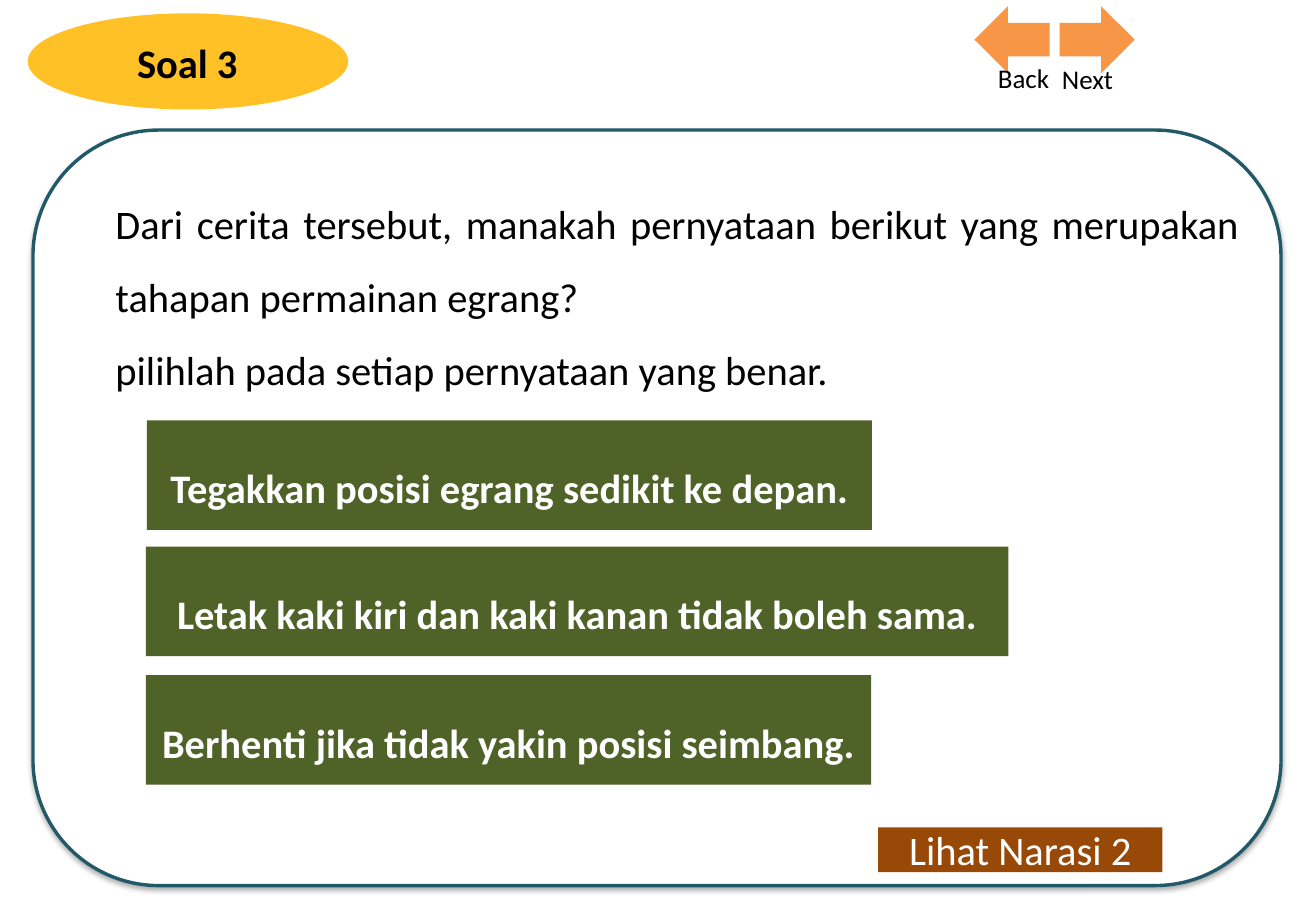
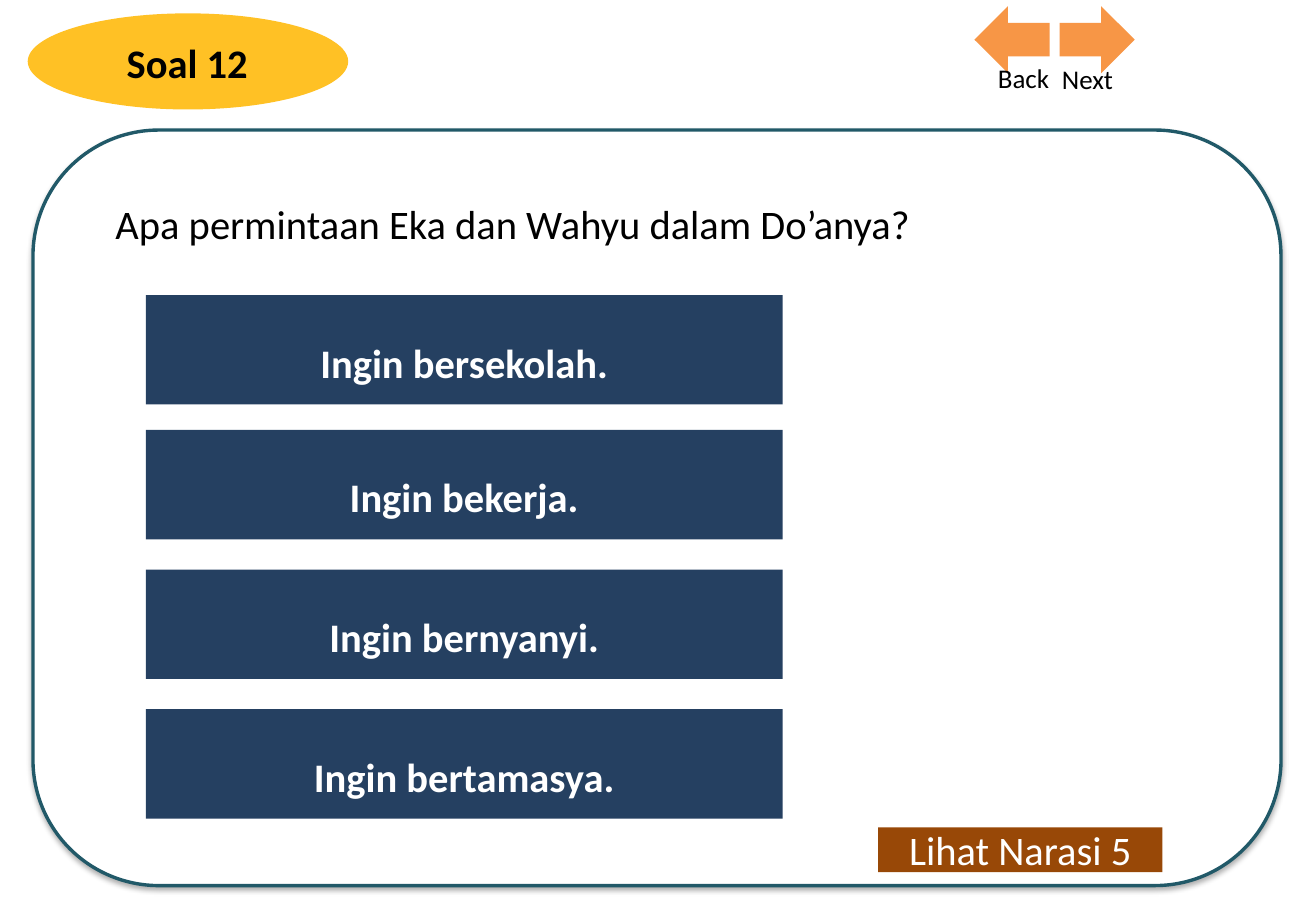
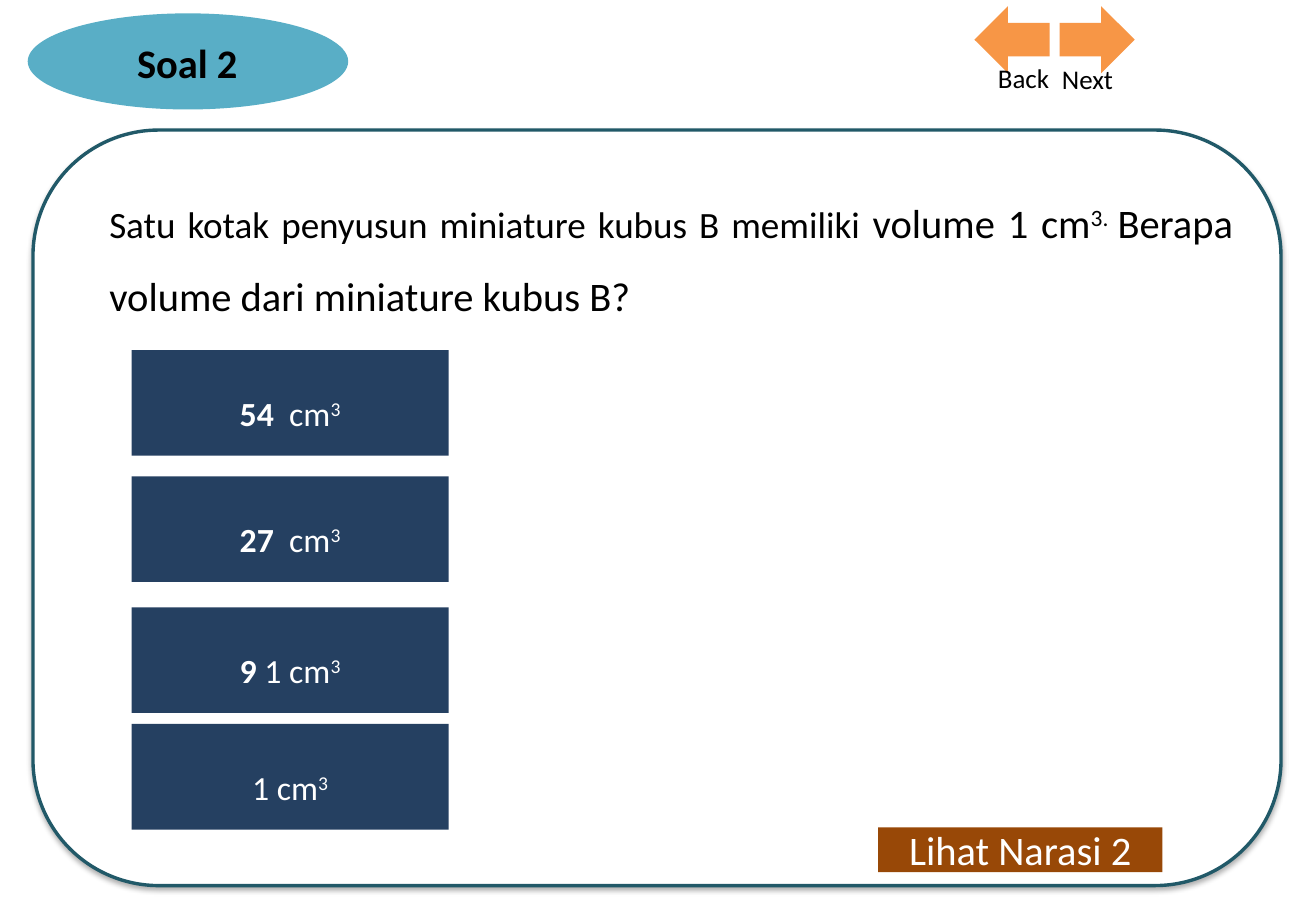
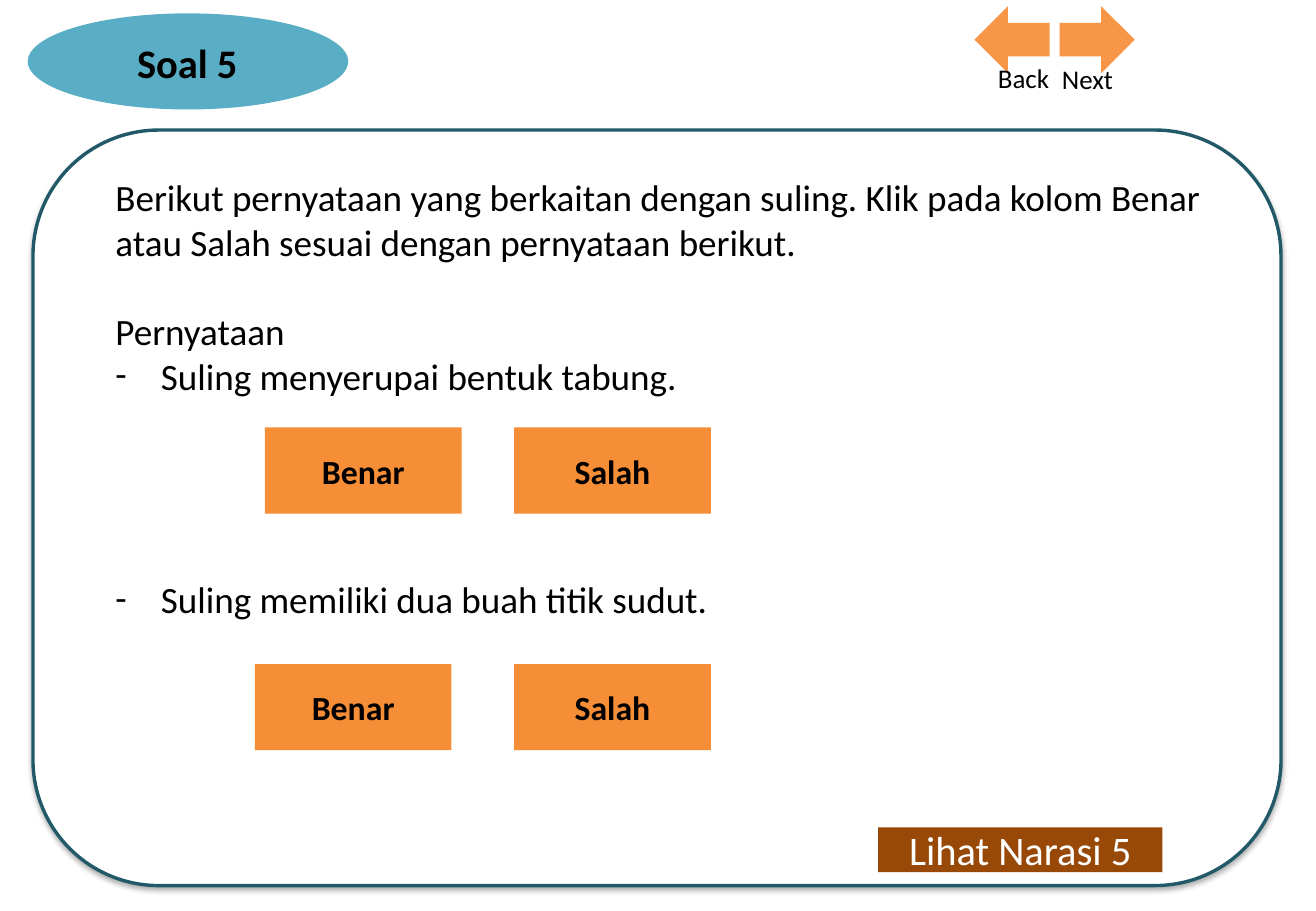
from dataclasses import dataclass

from lxml.etree import SubElement
from pptx import Presentation
from pptx.dml.color import RGBColor
from pptx.enum.shapes import MSO_SHAPE as Preset
from pptx.enum.text import MSO_ANCHOR as Anchor, MSO_AUTO_SIZE as AutoSize, PP_ALIGN as Align
from pptx.oxml.ns import qn
from pptx.util import Cm, Pt


@dataclass(frozen=True)
class Theme:
    font: str = "Calibri"
    black: str = "000000"
    white: str = "FFFFFF"
    yellow: str = "FFC125"
    teal: str = "59AEC6"
    frame: str = "215968"
    arrow: str = "F79646"
    story: str = "984807"
    green: str = "4F6228"
    navy: str = "254061"
    orange: str = "F68D37"
    large: int = 24
    medium: int = 22
    small: int = 20
    label: int = 16


@dataclass(frozen=True)
class AnswerStyle:
    fill: str
    ink: str
    size: int
    height: float
    spacing: float


THEME = Theme()
CHECK = AnswerStyle(THEME.green, THEME.white, THEME.large, 2.29, 1.5)
CHOICE = AnswerStyle(THEME.navy, THEME.white, THEME.large, 2.29, 1.5)
VOLUME = AnswerStyle(THEME.navy, THEME.white, THEME.small, 2.21, 1.5)
TRUE_FALSE = AnswerStyle(THEME.orange, THEME.black, THEME.small, 1.8, 1.0)

# A run is (text, *marks); a mark is "bold", "super" or "medium".
CUBED = ("3", "super")


def bold(text):
    return [(text, "bold")]


def column(left, width, tops, labels):
    return [(left, top, width, runs) for top, runs in zip(tops, labels)]


# Question paragraph: (runs, has dash, points before). Answer: (left, top, width, runs), in cm.
SLIDES = [
    {
        "title": "Soal 3", "badge": THEME.yellow, "story": "Lihat Narasi 2",
        "box": (2.16, 3.53, 24, 6.4), "align": Align.JUSTIFY, "spacing": 1.5,
        "question": [
            ([("Dari cerita tersebut, manakah pernyataan berikut yang merupakan "
               "tahapan permainan egrang?",)], False, 0),
            ([("pilihlah pada setiap pernyataan yang benar.",)], False, 0),
        ],
        "style": CHECK,
        "answers": [
            (3.07, 8.79, 15.16, bold("Tegakkan posisi egrang sedikit ke depan.")),
            (3.05, 11.43, 18.03, bold("Letak kaki kiri dan kaki kanan tidak boleh sama.")),
            (3.05, 14.12, 15.16, bold("Berhenti jika tidak yakin posisi seimbang.")),
        ],
    },
    {
        "title": "Soal 12", "badge": THEME.yellow, "story": "Lihat Narasi 5",
        "box": (2.16, 3.53, 24, 1.63), "align": Align.JUSTIFY, "spacing": 1.5,
        "question": [([("Apa permintaan Eka dan Wahyu dalam Do’anya?",)], False, 0)],
        "style": CHOICE,
        "answers": column(3.05, 13.31, (6.17, 8.99, 11.91, 14.83), [
            bold("Ingin bersekolah."),
            bold("Ingin bekerja."),
            bold("Ingin bernyanyi."),
            bold("Ingin bertamasya."),
        ]),
    },
    {
        "title": "Soal 2", "badge": THEME.teal, "story": "Lihat Narasi 2",
        "box": (2.03, 3.5, 24, 3.33), "align": Align.JUSTIFY, "spacing": 1.5,
        "question": [
            ([("Satu kotak penyusun miniature kubus B memiliki ", "medium"),
              ("volume 1 cm",), ("3. ", "super"),
              ("Berapa volume dari miniature kubus B?",)], False, 0),
        ],
        "style": VOLUME,
        "answers": column(2.75, 6.63, (7.32, 9.96, 12.7, 15.14), [
            [("54 ", "bold"), (" cm",), CUBED],
            [("27 ", "bold"), (" cm",), CUBED],
            [("9 ", "bold"), ("1 cm",), CUBED],
            [("1 cm",), CUBED],
        ]),
    },
    {
        "title": "Soal 5", "badge": THEME.teal, "story": "Lihat Narasi 5",
        "box": (2.16, 3.53, 24, 9.75), "align": Align.LEFT, "spacing": 1.0,
        "question": [
            ([("Berikut pernyataan yang berkaitan dengan suling. Klik pada kolom Benar "
               "atau Salah sesuai dengan pernyataan berikut.", "medium")], False, 0),
            ([("Pernyataan", "medium")], False, 26.5),
            ([("Suling menyerupai bentuk tabung.", "medium")], True, 0),
            ([("Suling memiliki dua buah titik sudut.", "medium")], True, 106),
        ],
        "style": TRUE_FALSE,
        "answers": [
            (left, top, 4.11, bold(label))
            for true_left, top in ((5.54, 8.94), (5.33, 13.89))
            for left, label in ((true_left, "Benar"), (10.75, "Salah"))
        ],
    },
]

# (label, arrow left, arrow rotation, label left, label top, label alignment)
NAVIGATION = [
    ("Back", 20.37, 180, 18.62, 1.17, Align.RIGHT),
    ("Next", 22.15, 0, 21.95, 1.19, Align.LEFT),
]


def rgb(colour):
    return RGBColor.from_string(colour)


def write(paragraph, runs, size, ink, align, spacing=1.0):
    paragraph.alignment = align
    paragraph.line_spacing = spacing
    paragraph.space_before = Pt(0)
    for text, *marks in runs:
        run = paragraph.add_run()
        run.text = text
        font = run.font
        font.name = THEME.font
        font.size = Pt(THEME.medium if "medium" in marks else size)
        font.bold = "bold" in marks
        font.color.rgb = rgb(ink)
        if "super" in marks:
            font._element.set("baseline", "30000")


def add_plain(slide, preset, box, fill):
    shape = slide.shapes.add_shape(preset, *map(Cm, box))
    shape.shadow.inherit = False
    shape.fill.solid()
    shape.fill.fore_color.rgb = rgb(fill)
    shape.line.fill.background()
    return shape


def add_button(slide, box, fill, runs, size, ink, spacing=1.0):
    frame = add_plain(slide, Preset.RECTANGLE, box, fill).text_frame
    frame.vertical_anchor = Anchor.MIDDLE
    write(frame.paragraphs[0], runs, size, ink, Align.CENTER, spacing)


def place(slide, placeholder, box, anchor):
    """Bring a placeholder to the front, position it and return its text frame."""
    slide.shapes._spTree.append(placeholder._element)
    placeholder.left, placeholder.top, placeholder.width, placeholder.height = map(Cm, box)
    frame = placeholder.text_frame
    frame.word_wrap = True
    frame.auto_size = AutoSize.NONE
    frame.vertical_anchor = anchor
    return frame


def add_panel(slide):
    panel = add_plain(slide, Preset.ROUNDED_RECTANGLE, (0.69, 2.72, 26.09, 15.8), THEME.white)
    panel.line.color.rgb = rgb(THEME.frame)
    panel.line.width = Pt(2)
    effects = panel._element.spPr.find(qn("a:effectLst"))
    shadow = SubElement(effects, qn("a:outerShdw"), blurRad=str(Pt(3.5)), dist=str(Pt(2.2)),
                        dir="5400000", rotWithShape="0")
    colour = SubElement(shadow, qn("a:srgbClr"), val=THEME.black)
    SubElement(colour, qn("a:alpha"), val="32000")


def set_bullet(paragraph, has_dash):
    indent = Cm(0.95) if has_dash else 0
    props = paragraph._p.get_or_add_pPr()
    props.set("marL", str(indent))
    props.set("indent", str(-indent))
    if has_dash:
        SubElement(props, qn("a:buFont"), typeface=THEME.font)
        SubElement(props, qn("a:buChar"), char="-")
    else:
        SubElement(props, qn("a:buNone"))


def add_question(slide, content):
    frame = place(slide, slide.placeholders[1], content["box"], Anchor.TOP)
    for index, (runs, has_dash, before) in enumerate(content["question"]):
        paragraph = frame.add_paragraph() if index else frame.paragraphs[0]
        set_bullet(paragraph, has_dash)
        write(paragraph, runs, THEME.large, THEME.black, content["align"], content["spacing"])
        paragraph.space_before = Pt(before)


def add_navigation(slide):
    for label, arrow_left, rotation, left, top, align in NAVIGATION:
        arrow = add_plain(slide, Preset.RIGHT_ARROW, (arrow_left, 0.13, 1.57, 1.4), THEME.arrow)
        arrow.rotation = rotation
        frame = slide.shapes.add_textbox(*map(Cm, (left, top, 3.56, 0.94))).text_frame
        frame.word_wrap = True
        write(frame.paragraphs[0], [(label,)], THEME.label, THEME.black, align)


def build_slide(deck, content):
    slide = deck.slides.add_slide(deck.slide_layouts[1])
    add_plain(slide, Preset.OVAL, (0.58, 0.28, 6.7, 2.01), content["badge"])
    title = place(slide, slide.shapes.title, (0.46, 0.66, 6.91, 1.27), Anchor.MIDDLE)
    write(title.paragraphs[0], bold(content["title"]), THEME.large, THEME.black, Align.CENTER)
    add_panel(slide)
    add_question(slide, content)
    add_button(slide, (18.36, 17.3, 5.94, 0.94), THEME.story, [(content["story"],)],
               THEME.large, THEME.white)
    style = content["style"]
    for left, top, width, runs in content["answers"]:
        add_button(slide, (left, top, width, style.height), style.fill, runs,
                   style.size, style.ink, style.spacing)
    add_navigation(slide)


def main():
    deck = Presentation()
    deck.slide_width, deck.slide_height = Cm(27.51), Cm(19.05)
    for content in SLIDES:
        build_slide(deck, content)
    deck.save("out.pptx")


if __name__ == "__main__":
    main()
